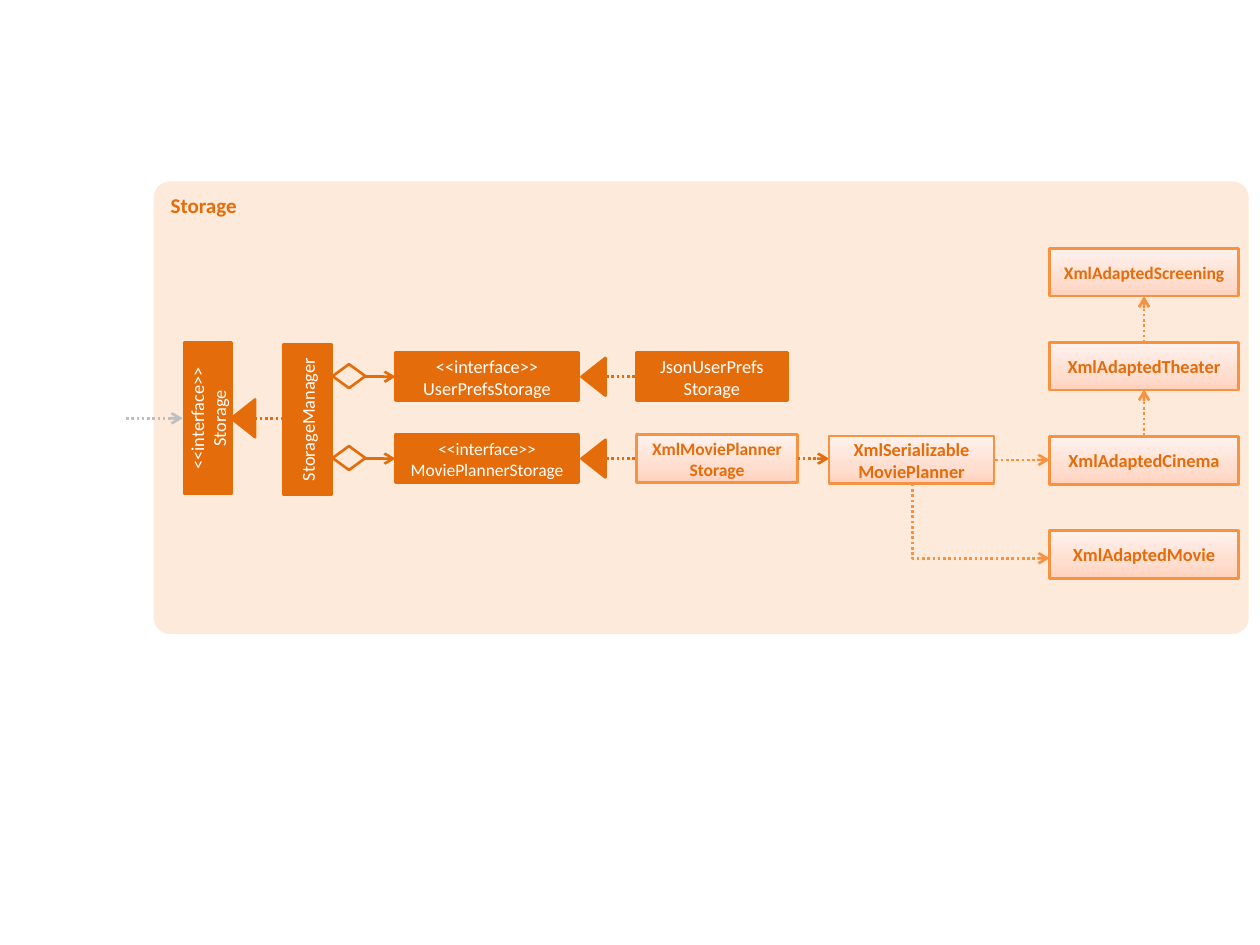
"""Draws the class diagram of the Storage component."""
import copy

import pptx
import pptx.dml.color
import pptx.enum.dml
import pptx.enum.shapes
import pptx.enum.text
import pptx.oxml
import pptx.oxml.ns
import pptx.util

SHAPE = pptx.enum.shapes.MSO_SHAPE
ORANGE, AMBER, GREY, WHITE, PEACH = "E46C0A", "F69240", "BFBFBF", "FFFFFF", "FDEADA"
GRADIENT = [(0, "FFD2BD"), (0.35, "FFDED0"), (1, "FFF2ED")]
COLS, ROWS = 100, 75
BOX_H = 3.8


def rgb(value):
    return pptx.dml.color.RGBColor.from_string(value)


class Diagram:
    def __init__(self, prs, font="Calibri", weight=1.5):
        self.s = prs.slides.add_slide(prs.slide_layouts[6])
        self.cell_w, self.cell_h = prs.slide_width / COLS, prs.slide_height / ROWS
        self.font, self.weight = font, weight

    def grid(self, x, y):
        return round(x * self.cell_w), round(y * self.cell_h)

    def shape(self, kind, x, y, w, h, fill=None, line=None, rotation=0):
        sp = self.s.shapes.add_shape(kind, *self.grid(x, y), *self.grid(w, h))
        sp.shadow.inherit = False
        sp.rotation = rotation
        if fill:
            sp.fill.solid()
            sp.fill.fore_color.rgb = rgb(fill)
        else:
            sp.fill.background()
        if line:
            sp.line.color.rgb = rgb(line)
            sp.line.width = pptx.util.Pt(self.weight)
        else:
            sp.line.fill.background()
        return sp

    def label(self, sp, text, size, color, bold=False, centred=True):
        tf = sp.text_frame
        tf.word_wrap = True
        tf.text = text
        anchor, align = pptx.enum.text.MSO_ANCHOR, pptx.enum.text.PP_ALIGN
        tf.vertical_anchor = anchor.MIDDLE if centred else anchor.TOP
        for p in tf.paragraphs:
            p.alignment = align.CENTER if centred else align.LEFT
            p.font.name, p.font.size, p.font.bold = self.font, pptx.util.Pt(size), bold
            p.font.color.rgb = rgb(color)

    def panel(self, x, y, w, h, text):
        sp = self.shape(SHAPE.ROUNDED_RECTANGLE, x, y, w, h, PEACH)
        sp.adjustments[0] = 0.035
        self.label(sp, text, 12, ORANGE, True, False)

    def solid_box(self, x, y, w, text, size=10.5, rotation=0):
        sp = self.shape(SHAPE.RECTANGLE, x, y, w, BOX_H, ORANGE, ORANGE, rotation)
        self.label(sp, text, size, WHITE)

    def xml_box(self, x, y, w, text, size=10.5):
        sp = self.shape(SHAPE.RECTANGLE, x, y, w, BOX_H, line=AMBER)
        sp.fill.gradient()
        sp.fill.gradient_angle = 90
        first = sp._element.spPr.find(".//" + pptx.oxml.ns.qn("a:gs"))
        first.addnext(copy.deepcopy(first))
        for stop, (position, color) in zip(sp.fill.gradient_stops, GRADIENT):
            stop.position = position
            stop.color.rgb = rgb(color)
        self.label(sp, text, size, ORANGE, True)

    def triangle(self, x, y):
        self.shape(SHAPE.ISOSCELES_TRIANGLE, x - 1.5, y - 0.95, 3, 1.9, ORANGE, ORANGE, 270)

    def diamond(self, x, y):
        self.shape(SHAPE.FLOWCHART_DECISION, x, y - 0.95, 2.6, 1.9, line=ORANGE)

    def line(self, x1, y1, x2, y2, color=ORANGE, dotted=True, arrow=True):
        c = self.s.shapes.add_connector(pptx.enum.shapes.MSO_CONNECTOR.STRAIGHT,
                                        *self.grid(x1, y1), *self.grid(x2, y2))
        c.line.color.rgb = rgb(color)
        c.line.width = pptx.util.Pt(self.weight)
        if dotted:
            c.line.dash_style = pptx.enum.dml.MSO_LINE.ROUND_DOT
        qn = pptx.oxml.ns.qn
        sp_pr = c._element.spPr
        if arrow:
            ln = sp_pr.find(qn("a:ln"))
            ln.append(ln.makeelement(qn("a:tailEnd"), {"type": "arrow"}))
        sp_pr.append(sp_pr.makeelement(qn("a:effectLst"), {}))
        return c

    def down_then_right(self, x1, y1, x2, y2, color):
        mid_x, mid_y = (x1 + x2) / 2, (y1 + y2) / 2
        half_w, half_h = (y2 - y1) / 2, (x2 - x1) / 2
        c = self.line(mid_x + half_w, mid_y - half_h, mid_x - half_w, mid_y + half_h, color)
        sp_pr = c._element.spPr
        sp_pr.find(pptx.oxml.ns.qn("a:xfrm")).set("rot", "16200000")
        sp_pr.find(pptx.oxml.ns.qn("a:prstGeom")).set("prst", "bentConnector2")


prs = pptx.Presentation()
prs.slide_width, prs.slide_height = pptx.util.Inches(10), pptx.util.Inches(7.5)
d = Diagram(prs)
d.panel(12.2, 14.4, 86.9, 35.9, "Storage")

d.line(10, 33.2, 14.5, 33.2, GREY)
d.solid_box(10.5, 31.3, 12, "<<interface>>\nStorage", rotation=270)
d.solid_box(18.4, 31.4, 12, "StorageManager", rotation=270)
d.triangle(19.3, 33.2)
d.line(20.2, 33.2, 22.6, 33.2, arrow=False)

for y, name, size in [(29.9, "UserPrefsStorage", 10.5), (36.4, "MoviePlannerStorage", 10)]:
    d.diamond(26.4, y - 0.05)
    d.line(29, y, 31.4, y, dotted=False)
    d.solid_box(31.4, y - BOX_H / 2, 14.5, "<<interface>>\v" + name, size)
    d.triangle(47.1, y)
    d.line(48.1, y, 50.5, y, arrow=False)

d.solid_box(50.5, 28, 12, "JsonUserPrefs\vStorage")
d.xml_box(50.5, 34.5, 12.8, "XmlMoviePlannerStorage", 10)
d.line(63.3, 36.4, 65.8, 36.4)
d.xml_box(65.8, 34.6, 13.1, "XmlSerializable\vMoviePlanner")

for row, (name, size) in enumerate([("Screening", 10), ("Theater", 10.5),
                                    ("Cinema", 10.5), ("Movie", 10.5)]):
    d.xml_box(83.3, 19.7 + 7.47 * row, 15, "XmlAdapted" + name, size)
for y in (34.6, 27.2):
    d.line(90.8, y, 90.8, y - 3.7, AMBER)
d.line(79, 36.5, 83.3, 36.5, AMBER)
d.down_then_right(72.4, 38.4, 83.3, 44.3, AMBER)

prs.save("out.pptx")
